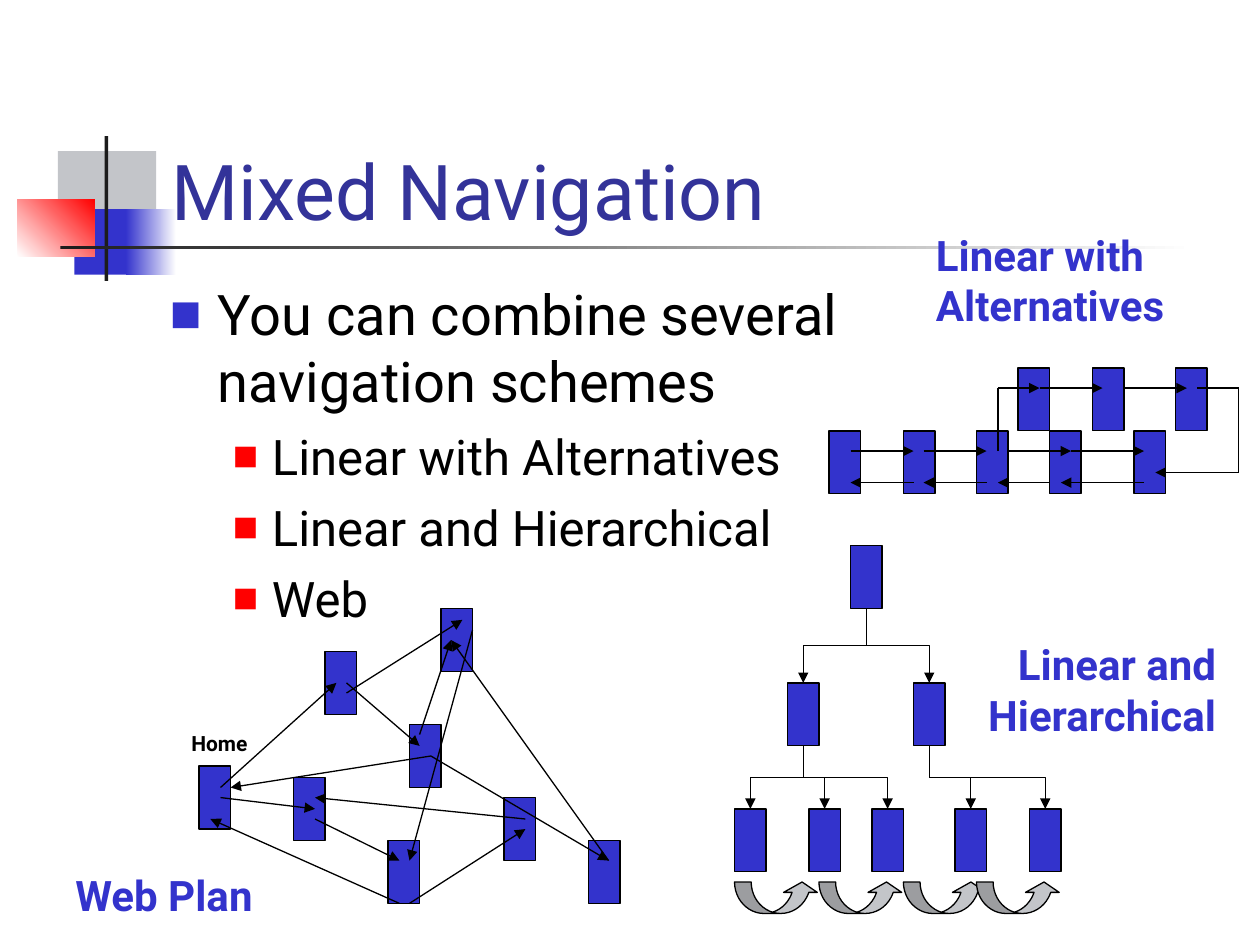
from lxml.etree import SubElement
from pptx import Presentation
from pptx.dml.color import RGBColor
from pptx.enum.shapes import MSO_CONNECTOR, MSO_SHAPE
from pptx.enum.text import MSO_ANCHOR, PP_ALIGN
from pptx.oxml.ns import qn
from pptx.util import Inches, Pt

COLORS = {
    "blue": "3333CC", "title": "333399", "red": "FF0000", "gray": "C3C5C9",
    "dark": "1C1C1C", "black": "000000", "white": "FFFFFF",
}
FONT = "Roboto"
BOX_W, BOX_H = 0.25, 0.5


def rgb(name):
    return RGBColor.from_string(COLORS[name])


class Deck:
    def __init__(self, s):
        self.s = s

    def shape(self, kind, x, y, w, h, fill, line=None):
        sp = self.s.shapes.add_shape(kind, Inches(x), Inches(y), Inches(w), Inches(h))
        sp.shadow.inherit = False
        if isinstance(fill, tuple):
            start, end, angle = fill
            sp.fill.gradient()
            sp.fill.gradient_angle = angle
            for stop, name in zip(sp.fill.gradient_stops, (start, end)):
                stop.color.rgb = rgb(name)
        else:
            sp.fill.solid()
            sp.fill.fore_color.rgb = rgb(fill)
        if line:
            sp.line.color.rgb = rgb(line)
            sp.line.width = Pt(0.75)
        else:
            sp.line.fill.background()
        return sp

    def rect(self, x, y, w, h, fill):
        return self.shape(MSO_SHAPE.RECTANGLE, x, y, w, h, fill)

    def page(self, x, y):
        return self.shape(MSO_SHAPE.RECTANGLE, x, y, BOX_W, BOX_H, "blue", "black")

    def swoosh(self, x, y):
        sp = self.shape(MSO_SHAPE.CURVED_UP_ARROW, x, y, 0.67, 0.25, "gray", "black")
        for i, value in enumerate((0.53, 1.07, 0.33)):
            sp.adjustments[i] = value

    def style_line(self, c, head):
        c.line.color.rgb = rgb("black")
        c.line.width = Pt(0.75)
        if head:
            SubElement(c.line._get_or_add_ln(), qn("a:tailEnd"), type="triangle")
        SubElement(c._element.spPr, qn("a:effectLst"))

    def line(self, x1, y1, x2, y2, head=True):
        c = self.s.shapes.add_connector(
            MSO_CONNECTOR.STRAIGHT, Inches(x1), Inches(y1), Inches(x2), Inches(y2))
        self.style_line(c, head)

    def branch(self, parent, child):
        c = self.s.shapes.add_connector(MSO_CONNECTOR.ELBOW, 0, 0, 0, 0)
        c.begin_connect(parent, 2)
        c.end_connect(child, 0)
        x1, y1 = parent.left + parent.width // 2, parent.top + parent.height
        x2, y2 = child.left + child.width // 2, child.top
        drop, shift = y2 - y1, abs(x2 - x1)
        xfrm = c._element.spPr.xfrm
        xfrm.flipH, xfrm.flipV = x2 > x1, False
        xfrm.rot = 270 if x2 > x1 else 90
        c.left, c.top = (x1 + x2 - drop) // 2, (y1 + y2 - shift) // 2
        c.width, c.height = drop, shift
        self.style_line(c, True)

    def text(self, x, y, w, h, paragraphs, size, color, before=0, bold=False,
             align=PP_ALIGN.LEFT, anchor=MSO_ANCHOR.TOP):
        tf = self.s.shapes.add_textbox(Inches(x), Inches(y), Inches(w), Inches(h)).text_frame
        tf.word_wrap = True
        tf.vertical_anchor = anchor
        for i, text in enumerate(paragraphs):
            p = tf.paragraphs[0] if i == 0 else tf.add_paragraph()
            p.text = text
            p.alignment = align
            p.space_before = Pt(before)
            self.format(p, {"size": Pt(size), "name": FONT, "bold": bold}, color)
        return tf

    def format(self, p, values, color):
        for r in p.runs:
            for key, value in values.items():
                setattr(r.font, key, value)
            r.font.color.rgb = rgb(color)

    def bullet(self, p, level, margin, indent, color, percent):
        p.level = level
        pPr = p._p.get_or_add_pPr()
        pPr.set("marL", str(Inches(margin)))
        pPr.set("indent", str(Inches(-indent)))
        SubElement(SubElement(pPr, qn("a:buClr")), qn("a:srgbClr"), val=COLORS[color])
        SubElement(pPr, qn("a:buSzPct"), val=str(percent * 1000))
        SubElement(pPr, qn("a:buFont"), typeface=FONT)
        SubElement(pPr, qn("a:buChar"), char="■")


def add_frame(deck):
    for x, y, w, h, fill in [
        (0.46, 1.2, 0.48, 0.52, "gray"),
        (0.88, 1.2, 0.36, 0.52, "gray"),
        (0.59, 1.66, 0.46, 0.52, "blue"),
        (1, 1.66, 0.4, 0.52, ("blue", "white", 0)),
        (0.14, 1.58, 0.61, 0.46, ("white", "red", 45)),
        (0.83, 1.08, 0.03, 1.15, "dark"),
        (0.48, 1.95, 9, 0.03, ("dark", "white", 0)),
    ]:
        deck.rect(x, y, w, h, fill)
    deck.text(1.26, 0.67, 8.52, 1.25, ["Mixed Navigation"], 44, "title",
              anchor=MSO_ANCHOR.BOTTOM)
    tf = deck.text(1.25, 2.17, 8.5, 4.5, [
        "You can combine several \vnavigation schemes",
        "Linear with Alternatives", "Linear and Hierarchical", "Web",
    ], 28, "black", before=7)
    first, *rest = tf.paragraphs
    first.space_before = Pt(8)
    deck.format(first, {"size": Pt(32)}, "black")
    deck.bullet(first, 0, 0.38, 0.38, "blue", 60)
    for p in rest:
        deck.bullet(p, 1, 0.81, 0.31, "red", 55)


def add_hierarchy(deck):
    root = deck.page(6.75, 4.33)
    left, right = [deck.page(x, 5.42) for x in (6.25, 7.25)]
    leaves = [deck.page(x, 6.42) for x in (5.83, 6.42, 6.92, 7.58, 8.17)]
    for x in (5.83, 6.5, 7.17, 7.75):
        deck.swoosh(x, 7)
    for parent, children in [(root, [left, right]), (left, leaves[:3]), (right, leaves[3:])]:
        for child in children:
            deck.branch(parent, child)
    deck.text(6.92, 5.02, 2.83, 0.9, ["Linear and Hierarchical"], 24, "blue",
              15, True, PP_ALIGN.RIGHT)


def add_web(deck):
    for x, y in [(3.5, 4.83), (4.67, 6.67), (2.58, 5.17), (2.33, 6.17),
                 (3.25, 5.75), (4, 6.33), (1.58, 6.08), (3.08, 6.67)]:
        deck.page(x, y)
    deck.text(1.42, 5.75, 0.83, 0.3, ["Home"], 12, "black", 7.5, True)
    for ends in [
        (1.75, 6.33, 2.5, 6.42), (1.75, 6.25, 2.67, 5.42), (2.5, 6.5, 3.17, 6.83),
        (4.17, 6.5, 2.5, 6.33), (3.25, 7.17, 4.17, 6.58), (4.83, 6.83, 3.58, 5.08),
        (2.75, 5.5, 3.67, 4.92), (3.42, 6, 4.83, 6.83), (2.75, 5.42, 3.33, 5.92),
        (3.42, 6, 1.83, 6.25), (3.33, 5.83, 3.58, 5.08), (3.75, 5, 3.25, 6.83),
        (3.17, 7.17, 1.67, 6.5),
    ]:
        deck.line(*ends)
    deck.text(0.5, 6.85, 2.5, 0.5, ["Web Plan"], 24, "blue", 15, True)


def add_alternatives(deck):
    for y, lefts in [(3.42, (6.58, 7.17, 7.75, 8.33, 9)), (2.92, (8.08, 8.67, 9.33))]:
        for x in lefts:
            deck.page(x, y)
    for y, spans in [
        (3.58, [(6.75, 7.25), (7.33, 7.83), (8, 8.5), (8.5, 9.08)]),
        (3.83, [(7.25, 6.75), (7.83, 7.33), (8.33, 7.92), (9.08, 8.42)]),
        (3.08, [(7.92, 8.25), (8.25, 8.75), (8.92, 9.42)]),
        (3.75, [(9.83, 9.17)]),
    ]:
        for x1, x2 in spans:
            deck.line(x1, y, x2, y)
    for ends in [(7.92, 3.58, 7.92, 3.08), (9.5, 3.08, 9.83, 3.08), (9.83, 3.08, 9.83, 3.75)]:
        deck.line(*ends, head=False)
    deck.text(7.33, 1.77, 2.33, 0.9, ["Linear with Alternatives"], 24, "blue", 15, True)


def main():
    prs = Presentation()
    prs.slide_width, prs.slide_height = Inches(10), Inches(7.5)
    deck = Deck(prs.slides.add_slide(prs.slide_layouts[6]))
    add_frame(deck)
    add_hierarchy(deck)
    add_web(deck)
    add_alternatives(deck)
    prs.save("out.pptx")


if __name__ == "__main__":
    main()
